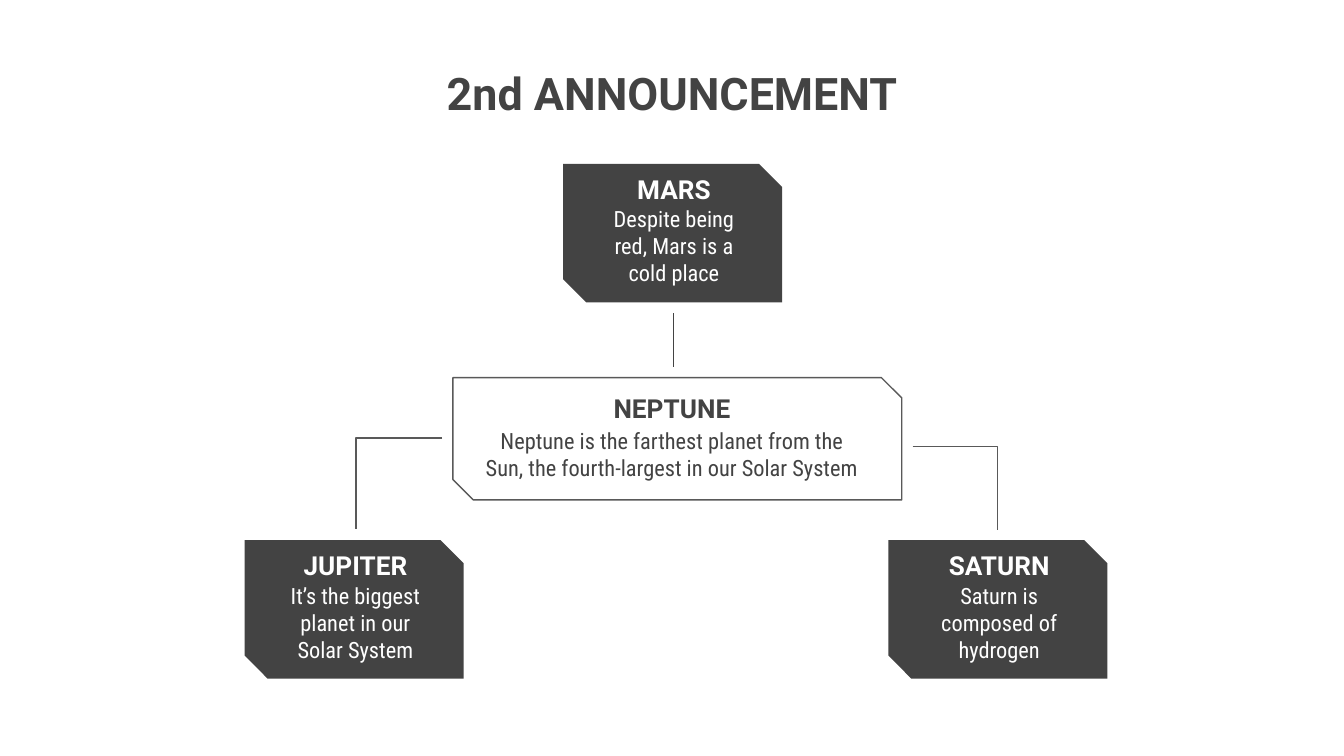
import pptx
import pptx.dml.color
import pptx.enum.shapes
import pptx.enum.text
import pptx.util
from dataclasses import dataclass
from lxml import etree
from pptx.oxml.ns import qn
from pptx.util import Inches


@dataclass(frozen=True)
class Theme:
    dark: str = "434343"
    line: str = "595959"
    white: str = "FFFFFF"
    heading_font: str = "Roboto"
    body_font: str = "Roboto Condensed"
    title_size: int = 24
    heading_size: int = 14
    body_size: int = 12
    line_width: float = 0.75


THEME = Theme()
CARD_SIZE = (1.63, 1.03)


def rgb(value):
    return pptx.dml.color.RGBColor.from_string(value)


def add_text(slide, text, left, top, width, height, font_name, size, color,
             bold=False, anchor=pptx.enum.text.MSO_ANCHOR.TOP):
    box = slide.shapes.add_textbox(Inches(left), Inches(top), Inches(width), Inches(height))
    frame = box.text_frame
    frame.word_wrap = True
    frame.vertical_anchor = anchor
    frame.margin_left = frame.margin_right = Inches(0.1)
    frame.margin_top = frame.margin_bottom = Inches(0.1)
    paragraph = frame.paragraphs[0]
    paragraph.text = text
    paragraph.alignment = pptx.enum.text.PP_ALIGN.CENTER
    paragraph.font.name = font_name
    paragraph.font.size = pptx.util.Pt(size)
    paragraph.font.bold = bold
    paragraph.font.color.rgb = rgb(color)


def add_panel(slide, left, top, width, height, filled):
    shape = slide.shapes.add_shape(
        pptx.enum.shapes.MSO_SHAPE.SNIP_2_DIAG_RECTANGLE,
        Inches(left), Inches(top), Inches(width), Inches(height))
    shape.shadow.inherit = False
    shape.adjustments[0] = 0
    shape.adjustments[1] = 0.167
    if filled:
        shape.fill.solid()
        shape.fill.fore_color.rgb = rgb(THEME.dark)
        shape.line.fill.background()
    else:
        shape.fill.background()
        shape.line.color.rgb = rgb(THEME.line)
        shape.line.width = pptx.util.Pt(THEME.line_width)


def add_card(slide, heading, body, left, top, size=CARD_SIZE, filled=True,
             text_shift=0.01, heading_drop=-0.03, body_drop=0.21, body_size=(1.27, 0.68)):
    """Panel with a heading and a body, both centred on one axis."""
    width, height = size
    add_panel(slide, left, top, width, height, filled)
    color = THEME.white if filled else THEME.dark
    center = left + width / 2 + text_shift
    heading_width, body_width = 1.56, body_size[0]
    add_text(slide, heading, center - heading_width / 2, top + heading_drop,
             heading_width, 0.43, THEME.heading_font, THEME.heading_size, color,
             bold=True, anchor=pptx.enum.text.MSO_ANCHOR.BOTTOM)
    add_text(slide, body, center - body_width / 2, top + body_drop, *body_size,
             THEME.body_font, THEME.body_size, color)


def add_link(slide, start, end, color, elbow=False):
    """Straight line, or an elbow that runs across and then down."""
    kinds = pptx.enum.shapes.MSO_CONNECTOR
    connector = slide.shapes.add_connector(
        kinds.ELBOW if elbow else kinds.STRAIGHT,
        *(Inches(value) for value in (*start, *end)))
    connector.line.color.rgb = rgb(color)
    connector.line.width = pptx.util.Pt(THEME.line_width)
    properties = connector._element.spPr
    etree.SubElement(properties, qn("a:effectLst"))
    if elbow:
        # Put the bend at the far end
        guides = properties.find(qn("a:prstGeom")).get_or_add_avLst()
        etree.SubElement(guides, qn("a:gd"), name="adj1", fmla="val 100000")


def main():
    presentation = pptx.Presentation()
    # Widescreen, 16:9
    presentation.slide_width = Inches(10)
    presentation.slide_height = Inches(10) * 9 // 16
    slide = presentation.slides.add_slide(presentation.slide_layouts[6])

    # Title
    add_text(slide, "2nd ANNOUNCEMENT", 2.15, 0.39, 5.7, 1.03,
             THEME.heading_font, THEME.title_size, THEME.dark, bold=True)

    # Planet cards
    add_card(slide, "MARS", "Despite being red, Mars is a cold place", 4.19, 1.22)
    add_card(slide, "NEPTUNE",
             "Neptune is the farthest planet from the Sun, "
             "the fourth-largest in our Solar System",
             3.37, 2.81, size=(3.34, 0.91), filled=False, text_shift=-0.04,
             heading_drop=0.01, body_drop=0.27, body_size=(3.03, 0.9))
    add_card(slide, "JUPITER", "It’s the biggest planet in our Solar System", 1.82, 4.02)
    add_card(slide, "SATURN", "Saturn is composed of hydrogen", 6.61, 4.02)

    # Links between the cards
    add_link(slide, (5.01, 2.33), (5.01, 2.73), THEME.dark)
    add_link(slide, (3.29, 3.26), (2.65, 3.94), THEME.line, elbow=True)
    add_link(slide, (6.79, 3.32), (7.42, 3.94), THEME.line, elbow=True)

    presentation.save("out.pptx")


if __name__ == "__main__":
    main()
